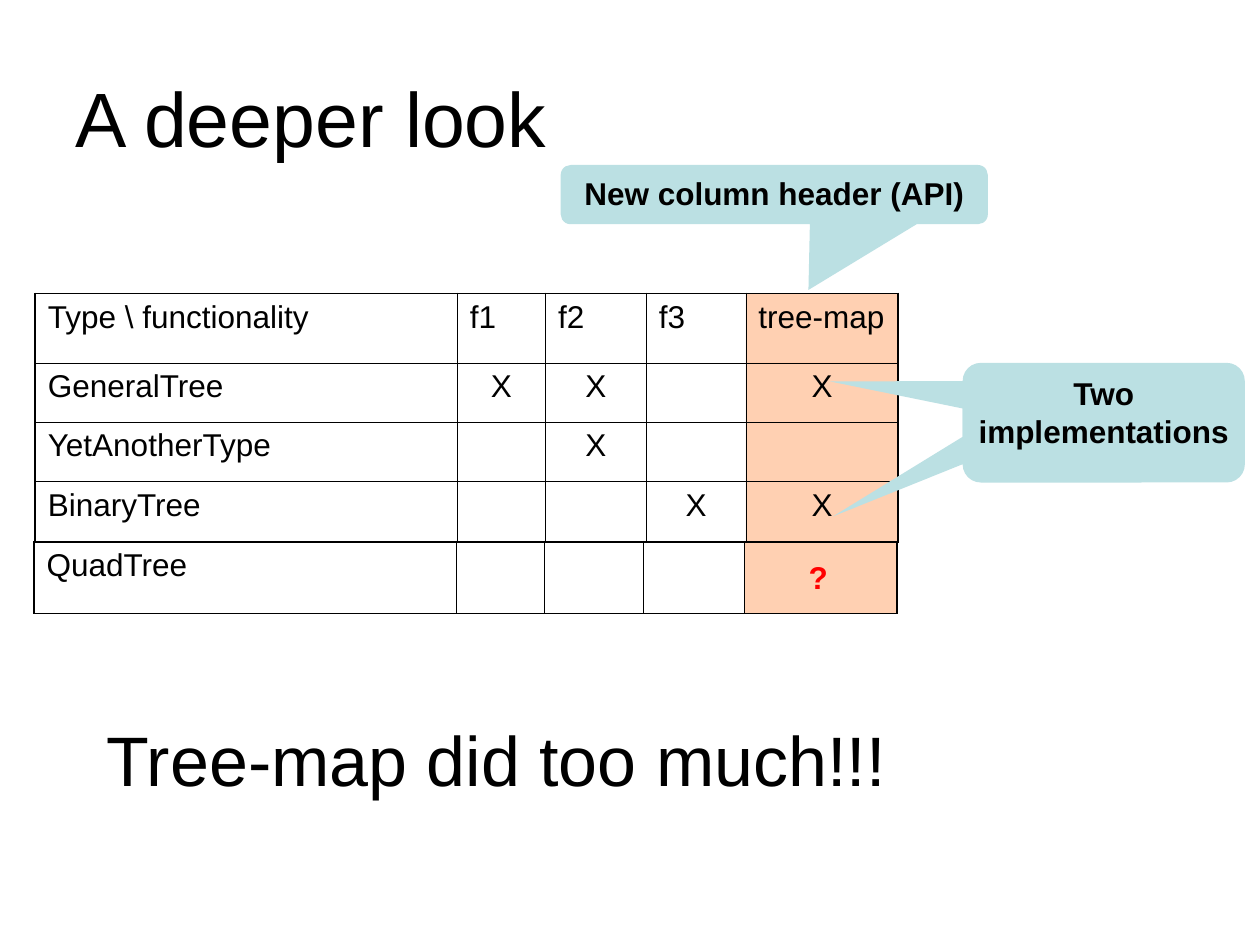
from lxml import etree
from pptx import Presentation
from pptx.dml.color import RGBColor
from pptx.enum import shapes, text
from pptx.oxml import ns
from pptx.util import Inches, Pt

BLACK = RGBColor(0, 0, 0)
RED = RGBColor(0xFF, 0, 0)
ORANGE = RGBColor(0xFF, 0x66, 0)
TEAL = RGBColor(0xBB, 0xE0, 0xE3)
THICK, THIN = Pt(1.08), Pt(0.45)
LEFT, CENTER = text.PP_ALIGN.LEFT, text.PP_ALIGN.CENTER

# Content
TITLE = "A deeper look"
CLAIM = "Tree-map did too much!!!"
# Tables: left, top, column widths, row heights, cells
TABLES = [
    (0.28, 2.33, (3.35, 0.7, 0.8, 0.79, 1.21), (0.55, 0.47, 0.47, 0.48), [
        ("Type \\ functionality", "f1", "f2", "f3", "tree-map"),
        ("GeneralTree", "X", "X", "", "X"),
        ("YetAnotherType", "", "X", "", ""),
        ("BinaryTree", "", "", "X", "X"),
    ]),
    (0.27, 4.3, (3.35, 0.7, 0.79, 0.8, 1.21), (0.57,), [
        ("QuadTree", "", "", "", ""),
    ]),
]
# Callouts: box, pointer, words
CALLS = [
    ((4.45, 1.31, 3.39, 0.47), (0.08, 1.61), "New column header (API)"),
    ((7.64, 2.96, 2.24, 0.87), (-0.96, 0.81), ""),
    ((7.64, 2.88, 2.24, 0.87), (-0.97, -0.33), "Two implementations"),
]


def write(frame, words, size=18, color=BLACK, bold=False, align=LEFT):
    par = frame.paragraphs[0]
    par.alignment = align
    run = par.add_run()
    run.text = words
    font = run.font
    font.name, font.size, font.bold = "Arial", Pt(size), bold
    font.color.rgb = color
    return par


def add_box(slide, box, wrap=True):
    frame = slide.shapes.add_textbox(*map(Inches, box)).text_frame
    frame.word_wrap = wrap
    return frame


def add_edge(props, side, width):
    line = etree.SubElement(props, ns.qn("a:" + side), w=str(width))
    fill = etree.SubElement(line, ns.qn("a:solidFill"))
    etree.SubElement(fill, ns.qn("a:srgbClr"), val=str(BLACK))


def style_cell(cell, edges, tinted):
    props = cell._tc.get_or_add_tcPr()
    for side, outer in edges.items():
        add_edge(props, side, THICK if outer else THIN)
    if tinted:
        cell.fill.solid()
        cell.fill.fore_color.rgb = ORANGE
        tint = props.find(".//" + ns.qn("a:solidFill") + "/" +
                          ns.qn("a:srgbClr") + f"[@val='{ORANGE}']")
        etree.SubElement(tint, ns.qn("a:alpha"), val="30000")
    else:
        cell.fill.background()


def add_grid(slide, left, top, cols, rows, cells):
    size = (left, top, sum(cols), sum(rows))
    grid = slide.shapes.add_table(len(rows), len(cols),
                                  *map(Inches, size)).table
    grid.first_row = grid.horz_banding = False
    for col, width in zip(grid.columns, cols):
        col.width = Inches(width)
    for row, height in zip(grid.rows, rows):
        row.height = Inches(height)
    end_row, end_col = len(rows) - 1, len(cols) - 1
    for r, line in enumerate(cells):
        for c, words in enumerate(line):
            cell = grid.cell(r, c)
            edges = {"lnL": c == 0, "lnR": c == end_col,
                     "lnT": r == 0, "lnB": r == end_row}
            style_cell(cell, edges, c == end_col)
            if words:
                align = CENTER if words == "X" else LEFT
                par = write(cell.text_frame, words, align=align)
                par.space_before = Pt(4.5)


def add_call(slide, box, tip, words):
    kind = shapes.MSO_SHAPE.ROUNDED_RECTANGULAR_CALLOUT
    call = slide.shapes.add_shape(kind, *map(Inches, box))
    call.shadow.inherit = False
    call.fill.solid()
    call.fill.fore_color.rgb = TEAL
    call.line.fill.background()
    call.adjustments[0], call.adjustments[1] = tip
    if words:
        frame = call.text_frame
        frame.word_wrap = True
        frame.vertical_anchor = text.MSO_ANCHOR.TOP
        frame.margin_left = frame.margin_right = Inches(0.02)
        write(frame, words, bold=True, align=CENTER)


def main():
    deck = Presentation()
    deck.slide_width, deck.slide_height = Inches(10), Inches(7.5)
    slide = deck.slides.add_slide(deck.slide_layouts[5])

    # Title
    title = slide.shapes.title
    title.left, title.top = Inches(0.5), Inches(0.3)
    title.width, title.height = Inches(9), Inches(1.25)
    title.text_frame.vertical_anchor = text.MSO_ANCHOR.MIDDLE
    write(title.text_frame, TITLE, 44)

    # Tables and callouts
    for table in TABLES:
        add_grid(slide, *table)
    for call in CALLS:
        add_call(slide, *call)

    # Open question and claim
    write(add_box(slide, (6.32, 4.38, 0.41, 0.4), False), "?",
          color=RED, bold=True)
    par = write(add_box(slide, (0.75, 5.64, 6.46, 1.02)), CLAIM, 40)
    par.space_before = Pt(10)

    deck.save("out.pptx")


if __name__ == "__main__":
    main()
